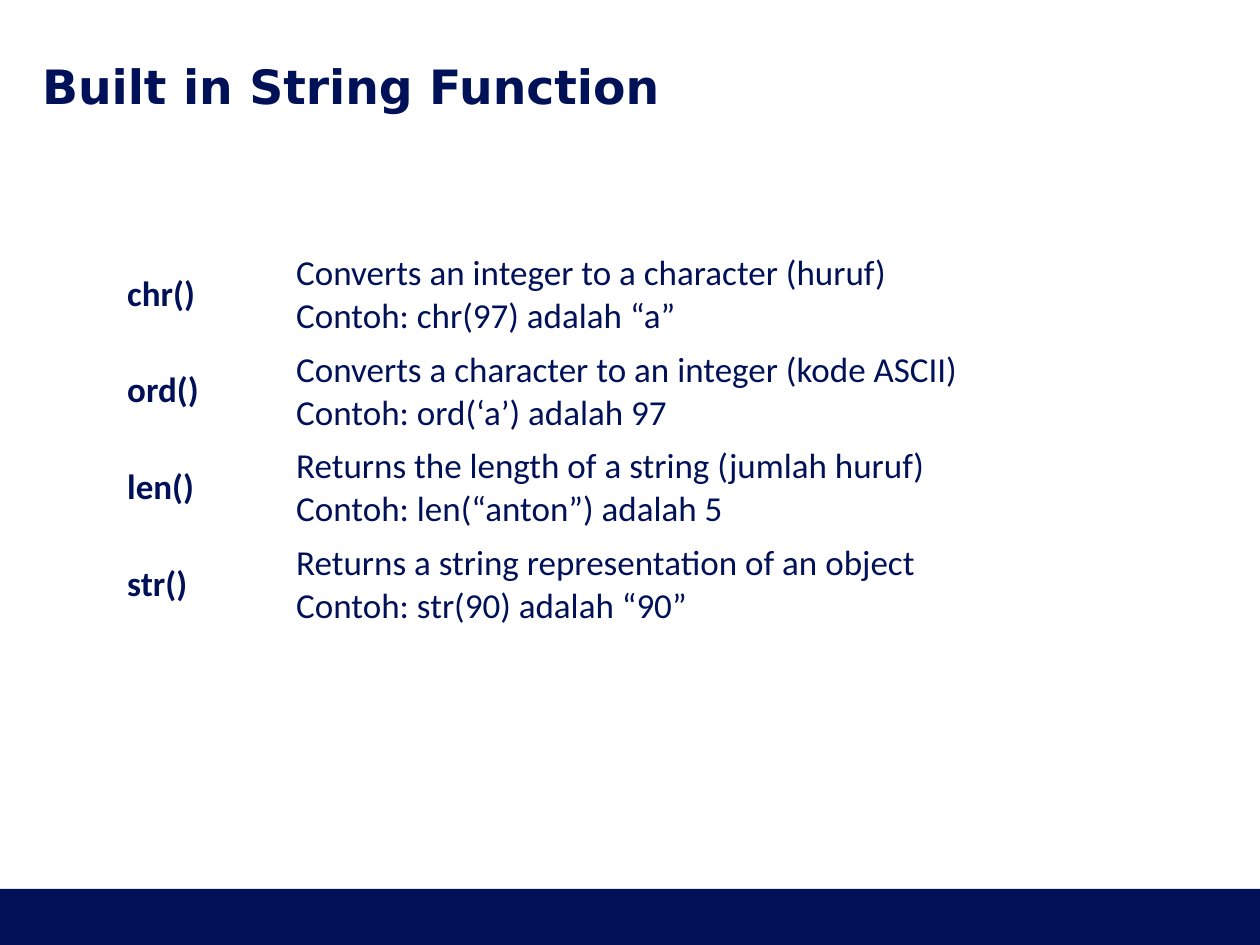
from pptx import Presentation
from pptx.dml.color import RGBColor
from pptx.enum.shapes import MSO_SHAPE as Shape
from pptx.enum.text import MSO_ANCHOR as Anchor
from pptx.util import Pt

NAVY = RGBColor(0x00, 0x11, 0x58)
TITLE_FONT = "DejaVu Sans"
BODY_FONT = "Calibri"
FUNCTIONS = [
    ("chr()", "Converts an integer to a character (huruf)", "Contoh: chr(97) adalah “a”"),
    ("ord()", "Converts a character to an integer (kode ASCII)", "Contoh: ord(‘a’) adalah 97"),
    ("len()", "Returns the length of a string (jumlah huruf)", "Contoh: len(“anton”) adalah 5"),
    ("str()", "Returns a string representation of an object", "Contoh: str(90) adalah “90”"),
]


class SlideBuilder:
    """Draws navy elements on one slide, with all lengths in points."""

    def __init__(self, slide, color=NAVY):
        self.slide = slide
        self.color = color

    def add_lines(self, text_frame, lines, font, size, bold=False):
        for index, line in enumerate(lines):
            paragraph = text_frame.add_paragraph() if index else text_frame.paragraphs[0]
            run = paragraph.add_run()
            run.text = line
            run.font.name = font
            run.font.size = Pt(size)
            run.font.bold = bold
            run.font.color.rgb = self.color

    def bar(self, left, top, width, height):
        shape = self.slide.shapes.add_shape(
            Shape.RECTANGLE, Pt(left), Pt(top), Pt(width), Pt(height))
        shape.shadow.inherit = False
        shape.fill.solid()
        shape.fill.fore_color.rgb = self.color
        shape.line.fill.background()

    def title(self, text, left, top, width, height):
        shape = self.slide.shapes.add_textbox(Pt(left), Pt(top), Pt(width), Pt(height))
        text_frame = shape.text_frame
        text_frame.word_wrap = True
        text_frame.vertical_anchor = Anchor.MIDDLE
        text_frame.margin_left = text_frame.margin_right = 0
        text_frame.margin_top = text_frame.margin_bottom = 0
        self.add_lines(text_frame, [text], TITLE_FONT, 27, bold=True)

    def table(self, rows, left, top, column_widths, row_height):
        table = self.slide.shapes.add_table(
            len(rows), len(column_widths), Pt(left), Pt(top),
            Pt(sum(column_widths)), Pt(row_height * len(rows))).table
        table.first_row = False
        table.horz_banding = False
        for column, width in zip(table.columns, column_widths):
            column.width = Pt(width)
        for row, (name, *description) in zip(table.rows, rows):
            for cell, lines, bold in zip(row.cells, ([name], description), (True, False)):
                cell.fill.background()
                cell.vertical_anchor = Anchor.MIDDLE
                self.add_lines(cell.text_frame, lines, BODY_FONT, 20, bold)


def main():
    presentation = Presentation()
    presentation.slide_width = Pt(720)
    presentation.slide_height = Pt(540)
    builder = SlideBuilder(presentation.slides.add_slide(presentation.slide_layouts[6]))
    builder.bar(0, 508, 720, 32)
    builder.title("Built in String Function", 24, 32, 672, 34)
    builder.table(FUNCTIONS, 65.5, 140.5, (96.5, 524), 55.25)
    presentation.save("out.pptx")


if __name__ == "__main__":
    main()
